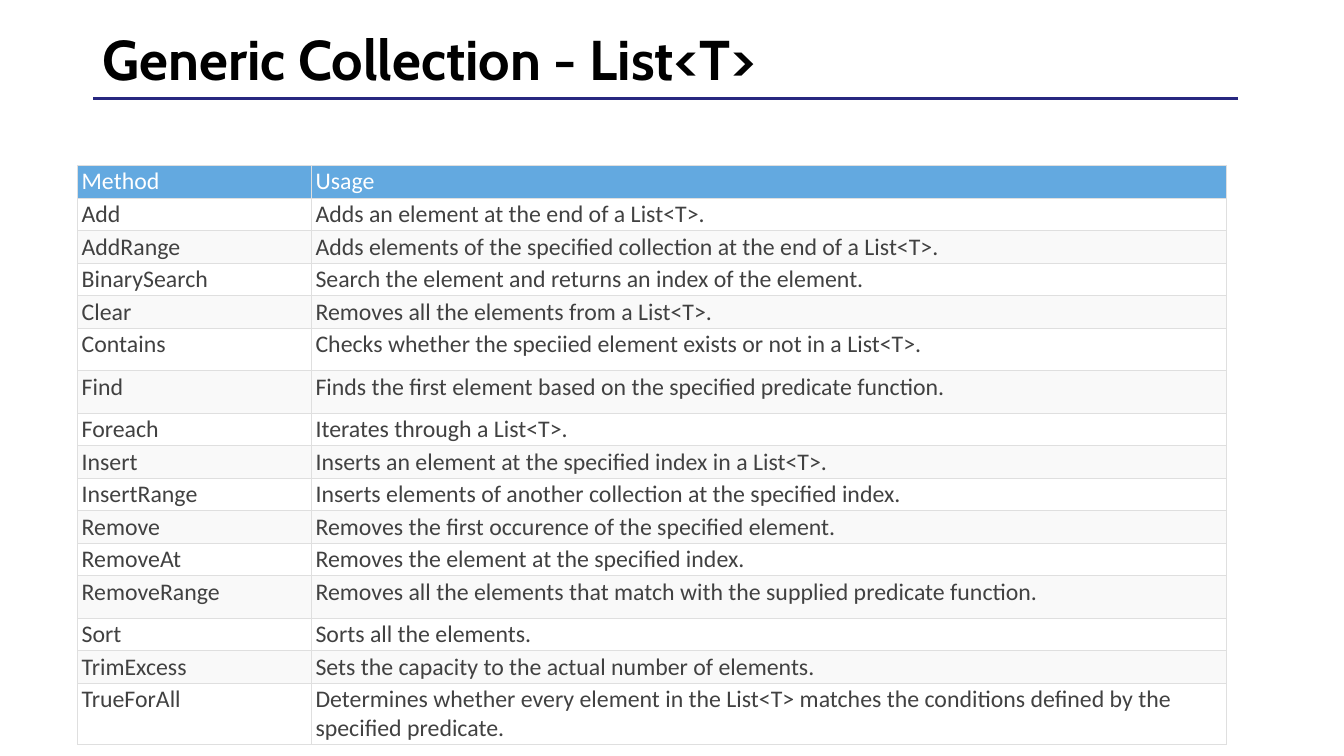
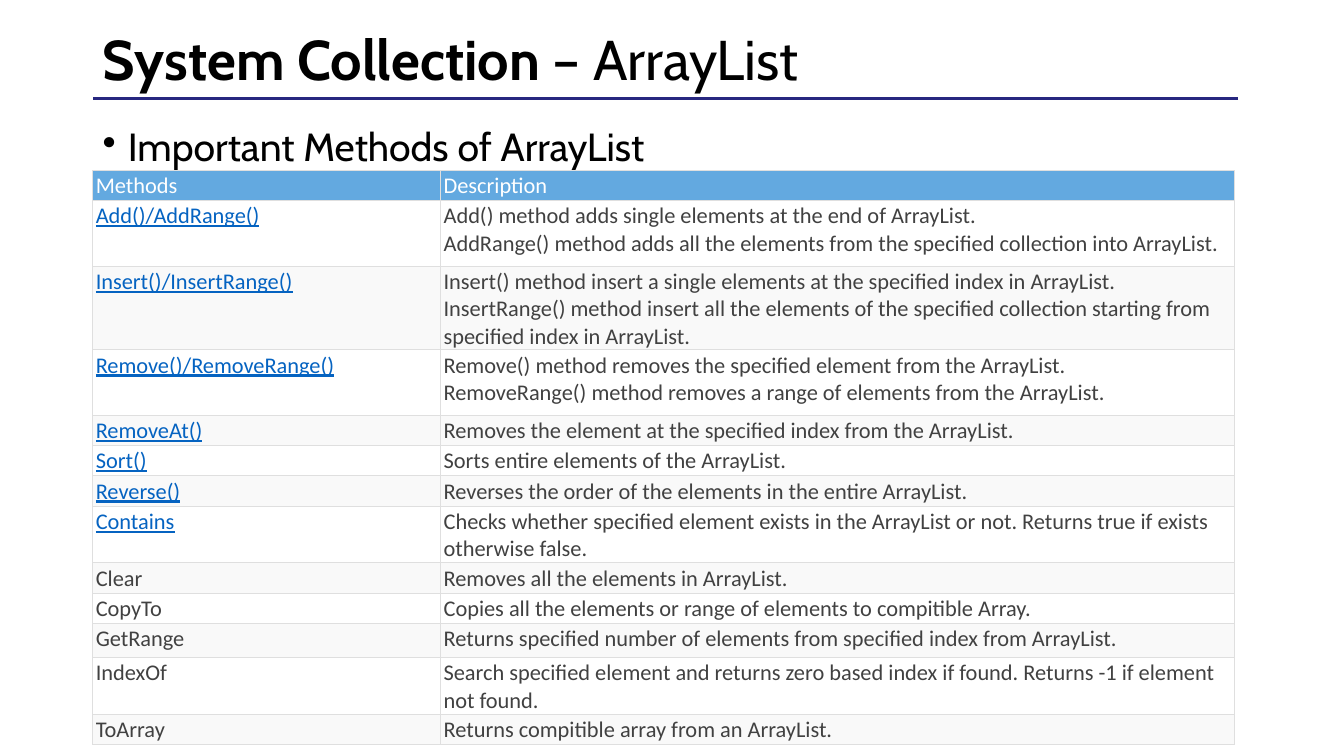
from dataclasses import dataclass, field

from lxml import etree
from pptx import Presentation
from pptx.dml.color import RGBColor
from pptx.enum import shapes, text
from pptx.oxml import ns
from pptx.slide import Slide
from pptx.table import _Cell
from pptx.text.text import Font, TextFrame, _Paragraph
from pptx.util import Inches, Pt


@dataclass(frozen=True)
class Theme:
    heading_font: str = "Cabin"
    table_font: str = "Calibri"
    title_size: int = 40
    bullet_size: int = 28
    black: str = "000000"
    white: str = "FFFFFF"
    rule: str = "272780"
    header: str = "63A9E0"
    band: str = "F9F9F9"
    border: str = "DFDFDF"
    body: str = "414141"
    link: str = "0563C1"


@dataclass(frozen=True)
class TitleRun:
    text: str
    bold: bool = True


@dataclass(frozen=True)
class Row:
    name: str
    usage: str
    height: float = 0.3
    linked: bool = False


@dataclass(frozen=True)
class MethodTable:
    left: float
    top: float
    widths: tuple[float, float]
    size: int
    side_inset: float
    bottom_inset: float
    header: Row
    rows: list[Row] = field(default_factory=list)


THEME = Theme()
MARGIN = 0.92
CONTENT_WIDTH = 11.5

LIST_TABLE = MethodTable(
    0.77, 1.64, (2.32, 9.07), 17, 0.04, 0.02, Row("Method", "Usage"),
    [
        Row("Add", "Adds an element at the end of a List<T>."),
        Row("AddRange", "Adds elements of the specified collection at the end of a List<T>."),
        Row("BinarySearch", "Search the element and returns an index of the element."),
        Row("Clear", "Removes all the elements from a List<T>."),
        Row("Contains", "Checks whether the speciied element exists or not in a List<T>.", 0.42),
        Row("Find", "Finds the first element based on the specified predicate function.", 0.42),
        Row("Foreach", "Iterates through a List<T>."),
        Row("Insert", "Inserts an element at the specified index in a List<T>."),
        Row("InsertRange", "Inserts elements of another collection at the specified index."),
        Row("Remove", "Removes the first occurence of the specified element."),
        Row("RemoveAt", "Removes the element at the specified index."),
        Row("RemoveRange",
            "Removes all the elements that match with the supplied predicate function.", 0.42),
        Row("Sort", "Sorts all the elements."),
        Row("TrimExcess", "Sets the capacity to the actual number of elements."),
        Row("TrueForAll",
            "Determines whether every element in the\u00a0List<T> matches the conditions "
            "defined by the specified predicate.", 0.61),
    ],
)

ARRAY_LIST_TABLE = MethodTable(
    MARGIN, 1.69, (3.45, 7.87), 16, 0.03, 0.01, Row("Methods", "Description"),
    [
        Row("Add()/AddRange()",
            "Add() method adds single elements at the end of ArrayList.\u00a0\n"
            "AddRange() method adds all the elements from the specified collection "
            "into ArrayList.", 0.65, True),
        Row("Insert()/InsertRange()",
            "Insert() method insert a single elements at the specified index in ArrayList.\u00a0\n"
            "InsertRange() method insert all the elements of the specified collection "
            "starting from specified index in ArrayList.", 0.81, True),
        Row("Remove()/RemoveRange()",
            "Remove() method removes the specified element from the ArrayList.\u00a0\n"
            "RemoveRange() method removes a range of elements from the ArrayList.", 0.65, True),
        Row("RemoveAt()", "Removes the element at the specified index from the ArrayList.",
            linked=True),
        Row("Sort()", "Sorts entire elements of the ArrayList.", linked=True),
        Row("Reverse()", "Reverses the order of the elements in the entire ArrayList.",
            linked=True),
        Row("Contains",
            "Checks whether specified element exists in the ArrayList or not. "
            "Returns true if exists otherwise false.", 0.42, True),
        Row("Clear", "Removes all the elements in ArrayList."),
        Row("CopyTo", "Copies all the elements or range of elements to compitible Array."),
        Row("GetRange",
            "Returns specified number of elements from specified index from ArrayList.", 0.34),
        Row("IndexOf",
            "Search specified element and returns zero based index if found. "
            "Returns -1 if element not found.", 0.42),
        Row("ToArray", "Returns compitible array from an ArrayList."),
    ],
)


def set_font(font: Font, name: str, size: int, color: str) -> None:
    font.name = name
    font.size = Pt(size)
    font.color.rgb = RGBColor.from_string(color)


def add_text_box(slide: Slide, top: float, height: float) -> TextFrame:
    sp = slide.shapes.add_textbox(
        Inches(MARGIN), Inches(top), Inches(CONTENT_WIDTH), Inches(height))
    tf = sp.text_frame
    tf.word_wrap = True
    tf.paragraphs[0].line_spacing = 0.9
    return tf


def add_rule(slide: Slide) -> None:
    line = slide.shapes.add_connector(
        shapes.MSO_CONNECTOR.STRAIGHT,
        Inches(12.28), Inches(0.98), Inches(MARGIN), Inches(0.98))
    line.line.color.rgb = RGBColor.from_string(THEME.rule)
    line.line.width = Pt(2)
    etree.SubElement(line._element.spPr, ns.qn("a:effectLst"))


def add_titled_slide(prs: Presentation, runs: list[TitleRun]) -> Slide:
    slide = prs.slides.add_slide(prs.slide_layouts[6])
    add_rule(slide)
    tf = add_text_box(slide, 0.17, 0.89)
    tf.vertical_anchor = text.MSO_ANCHOR.MIDDLE
    p = tf.paragraphs[0]
    set_font(p.font, THEME.heading_font, THEME.title_size, THEME.black)
    for run in runs:
        r = p.add_run()
        r.text = run.text
        r.font.bold = run.bold
    return slide


def set_bullet(p: _Paragraph) -> None:
    pPr = p._p.get_or_add_pPr()
    pPr.set("marL", str(Inches(0.25)))
    pPr.set("indent", str(Inches(-0.25)))
    bullet = etree.Element(ns.qn("a:buChar"), char="•")
    pPr.find(ns.qn("a:defRPr")).addprevious(bullet)


def add_bullet(slide: Slide, line: str) -> None:
    p = add_text_box(slide, 1.22, 5.53).paragraphs[0]
    p.text = line
    p.space_before = Pt(10)
    set_font(p.font, THEME.heading_font, THEME.bullet_size, THEME.black)
    set_bullet(p)


def set_borders(cell: _Cell) -> None:
    tcPr = cell._tc.get_or_add_tcPr()
    for index, side in enumerate(("lnL", "lnR", "lnT", "lnB")):
        ln = etree.Element(ns.qn(f"a:{side}"), w=str(Pt(0.5)))
        fill = etree.SubElement(ln, ns.qn("a:solidFill"))
        etree.SubElement(fill, ns.qn("a:srgbClr"), val=THEME.border)
        tcPr.insert(index, ln)


def fill_cell(cell: _Cell, spec_table: MethodTable, content: str, fill: str,
              color: str, underline: bool) -> None:
    cell.margin_left = cell.margin_right = Inches(spec_table.side_inset)
    cell.margin_top = Inches(0.02)
    cell.margin_bottom = Inches(spec_table.bottom_inset)
    cell.fill.solid()
    cell.fill.fore_color.rgb = RGBColor.from_string(fill)
    set_borders(cell)
    p = cell.text_frame.paragraphs[0]
    p.text = content
    set_font(p.font, THEME.table_font, spec_table.size, color)
    p.font.underline = underline


def add_method_table(slide: Slide, methods: MethodTable) -> None:
    rows = [methods.header, *methods.rows]
    table = slide.shapes.add_table(
        len(rows), len(methods.widths), Inches(methods.left), Inches(methods.top),
        Inches(sum(methods.widths)), Inches(sum(row.height for row in rows))).table
    table.first_row = table.horz_banding = False
    for column, width in zip(table.columns, methods.widths):
        column.width = Inches(width)
    for index, row in enumerate(rows):
        table.rows[index].height = Inches(row.height)
        is_header = index == 0
        fill = THEME.header if is_header else THEME.white if index % 2 else THEME.band
        color = THEME.white if is_header else THEME.body
        name_color = THEME.link if row.linked else color
        name, usage = table.cell(index, 0), table.cell(index, 1)
        fill_cell(name, methods, row.name, fill, name_color, row.linked)
        fill_cell(usage, methods, row.usage, fill, color, False)
        if is_header:
            name.vertical_anchor = usage.vertical_anchor = text.MSO_ANCHOR.BOTTOM


def main() -> None:
    prs = Presentation()
    prs.slide_width = Inches(13.33)
    prs.slide_height = Inches(7.5)

    generic = add_titled_slide(prs, [TitleRun("Generic Collection - List<T>")])
    add_method_table(generic, LIST_TABLE)

    system = add_titled_slide(
        prs, [TitleRun("System Collection "), TitleRun("– ArrayList", False)])
    add_bullet(system, "Important Methods of ArrayList")
    add_method_table(system, ARRAY_LIST_TABLE)

    prs.save("out.pptx")


main()
